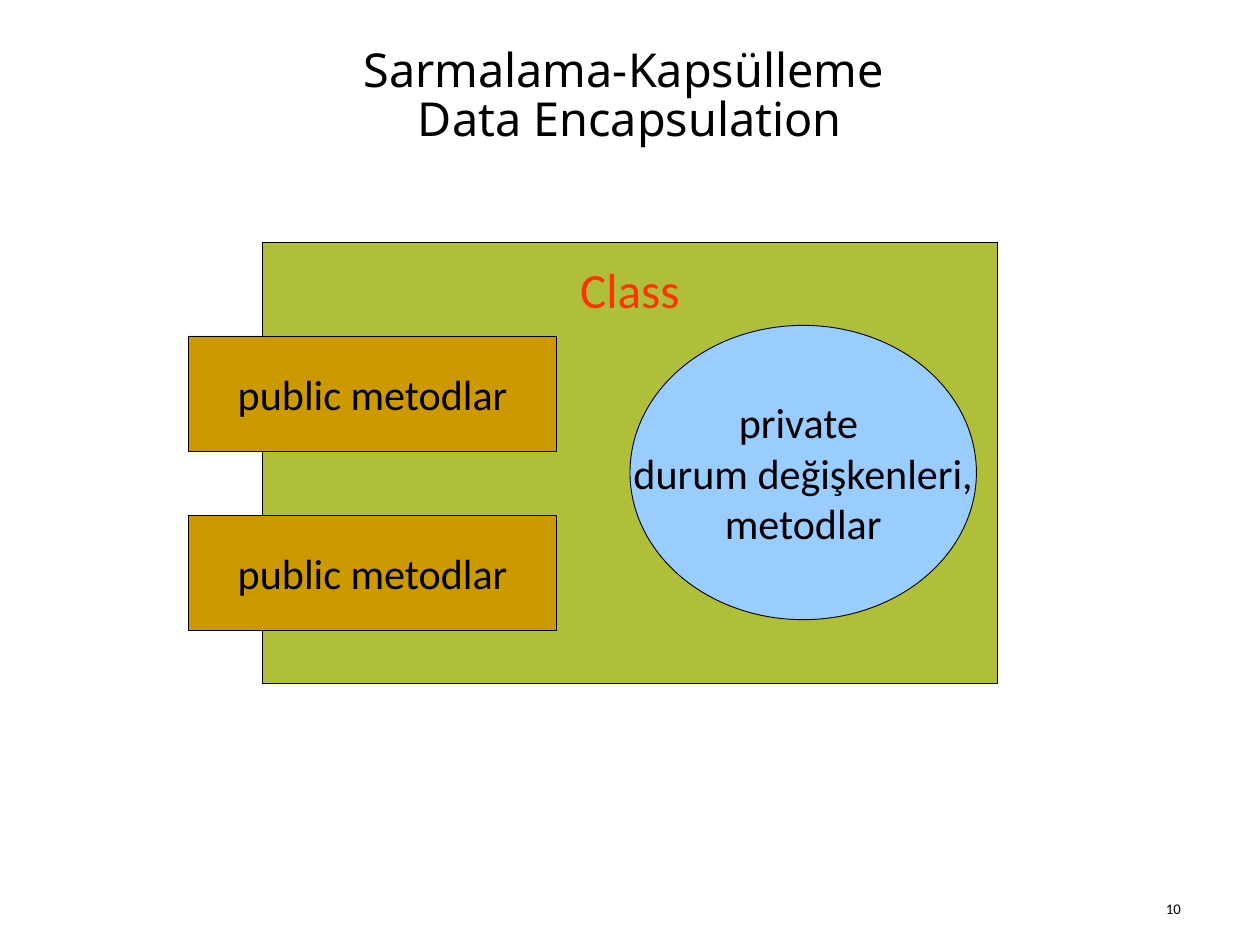
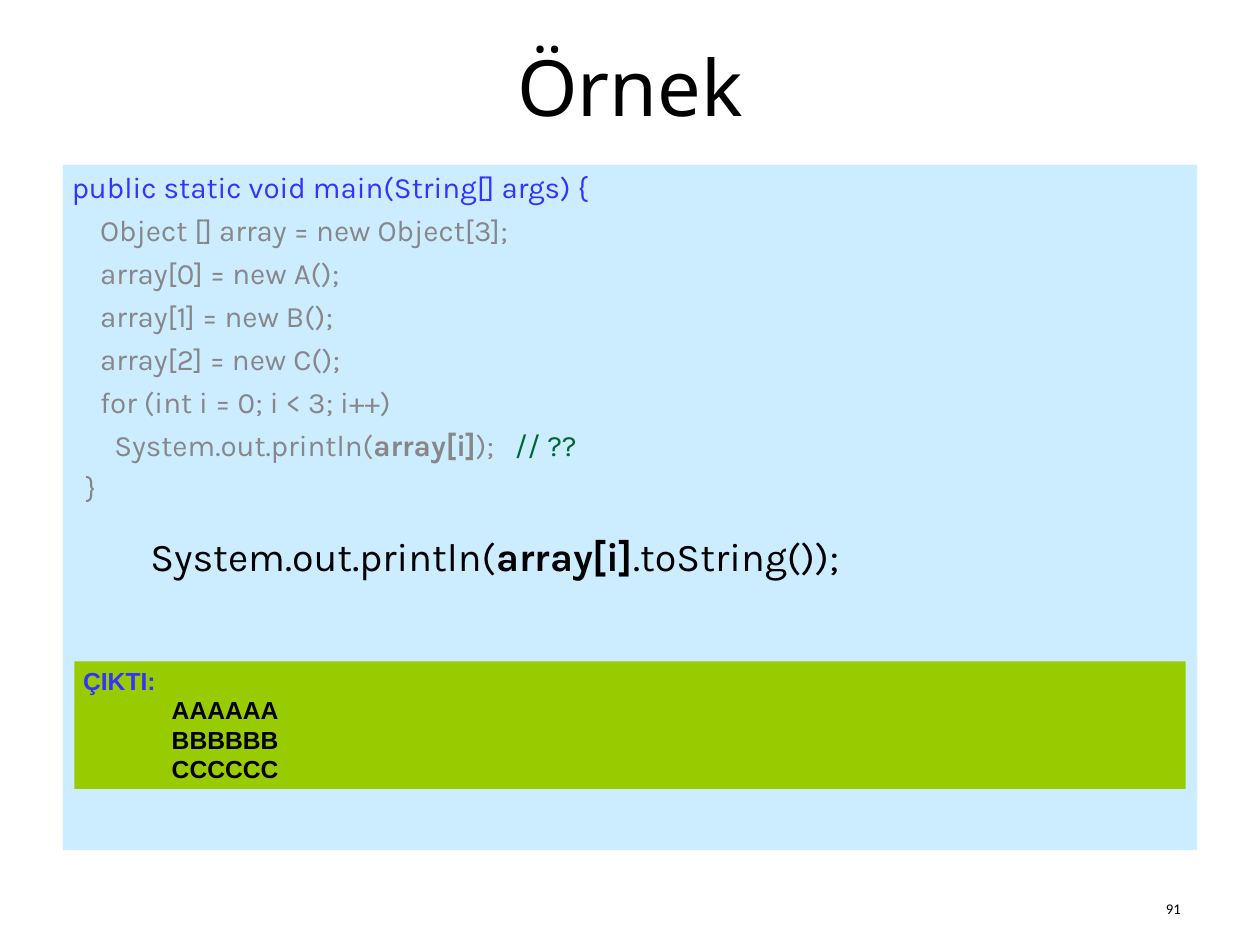
import pptx
import pptx.util
import pptx.dml.color
import pptx.enum.shapes
import pptx.enum.text
import pptx.oxml.ns
from lxml import etree

Inches = pptx.util.Inches
Pt = pptx.util.Pt
RGBColor = pptx.dml.color.RGBColor
Shape = pptx.enum.shapes.MSO_SHAPE
Anchor = pptx.enum.text.MSO_ANCHOR
Align = pptx.enum.text.PP_ALIGN

BLACK = RGBColor(0x00, 0x00, 0x00)
OLIVE = RGBColor(0xAF, 0xBF, 0x39)
SKY = RGBColor(0x99, 0xCC, 0xFF)
OCHRE = RGBColor(0xCC, 0x99, 0x00)
RED = RGBColor(0xFF, 0x33, 0x00)
PALE_BLUE = RGBColor(0xCC, 0xEC, 0xFF)
BLUE = RGBColor(0x33, 0x33, 0xFF)
GRAY = RGBColor(0x87, 0x87, 0x87)
DARK_GREEN = RGBColor(0x00, 0x66, 0x33)
LIME = RGBColor(0x99, 0xCC, 0x00)

TITLE_FONT, LABEL_FONT, CODE_FONT, OUTPUT_FONT = "Noto Sans", "Calibri", "Karla", "Arial"
TITLE_ONLY, TITLE_AND_BODY = 5, 1
INDENT_STEP = 0.16


def place(shape, box):
    shape.left, shape.top, shape.width, shape.height = map(Inches, box)


def style(span, font, size, color, bold=False):
    span.font.name = font
    span.font.size = Pt(size)
    span.font.color.rgb = color
    span.font.bold = bold


def add_block(page, kind, box, fill, outlined=False):
    block = page.shapes.add_shape(kind, *map(Inches, box))
    block.shadow.inherit = False
    block.fill.solid()
    block.fill.fore_color.rgb = fill
    if outlined:
        block.line.color.rgb = BLACK
        block.line.width = Pt(0.75)
    else:
        block.line.fill.background()
    return block


def write_label(shape, text, size, color, anchor=Anchor.MIDDLE):
    frame = shape.text_frame
    frame.text = text
    frame.word_wrap = False
    frame.vertical_anchor = anchor
    for para in frame.paragraphs:
        para.alignment = Align.CENTER
        for span in para.runs:
            style(span, LABEL_FONT, size, color)


def write_lines(frame, lines, font, size, space_before=0):
    """Each line is (indent in inches, [(text, color, bold), ...])."""
    frame.word_wrap = True
    frame.vertical_anchor = Anchor.TOP
    for number, (indent, spans) in enumerate(lines):
        para = frame.paragraphs[0] if number == 0 else frame.add_paragraph()
        para.alignment = Align.LEFT
        para.space_before = Pt(space_before)
        properties = para._p.get_or_add_pPr()
        properties.set("marL", "0")
        properties.set("indent", str(Inches(indent)))
        etree.SubElement(properties, pptx.oxml.ns.qn("a:buNone"))
        for text, color, bold in spans:
            span = para.add_run()
            span.text = text
            style(span, font, size, color, bold)


def set_tab(para, position):
    tabs = etree.SubElement(para._p.get_or_add_pPr(), pptx.oxml.ns.qn("a:tabLst"))
    etree.SubElement(tabs, pptx.oxml.ns.qn("a:tab"), pos=str(Inches(position)), algn="l")


def add_page(deck, layout, title, title_size, title_height, number):
    page = deck.slides.add_slide(deck.slide_layouts[layout])
    place(page.shapes.title, (0.71, 0.43, 12.8, title_height))
    frame = page.shapes.title.text_frame
    frame.text = title
    frame.auto_size = pptx.enum.text.MSO_AUTO_SIZE.NONE
    frame.vertical_anchor = Anchor.TOP
    # Tight line spacing lifts the first line, so the inset grows with the size
    frame.margin_top = Inches(0.05 + title_size * 0.0015)
    para = frame.paragraphs[0]
    para.alignment = Align.CENTER
    para.line_spacing = 0.88
    for span in para.runs:
        style(span, TITLE_FONT, title_size, BLACK)

    footer = page.shapes.add_textbox(*map(Inches, (13.06, 10.04, 0.45, 0.42)))
    footer.text_frame.text = str(number)
    footer.text_frame.word_wrap = True
    footer.text_frame.vertical_anchor = Anchor.MIDDLE
    style(footer.text_frame.paragraphs[0].runs[0], LABEL_FONT, 12, BLACK)
    return page


def add_class_diagram(page, box):
    left, top, width, height = box
    class_box = add_block(page, Shape.RECTANGLE, box, OLIVE, outlined=True)
    write_label(class_box, "Class", 40, RED, Anchor.TOP)
    class_box.text_frame.margin_top = Inches(0.19)

    private_part = add_block(page, Shape.OVAL, (left + width / 2, top + 0.94, 3.91, 3.32),
                             SKY, outlined=True)
    write_label(private_part, "private \ndurum değişkenleri,\nmetodlar", 34.2, BLACK)

    for row in range(2):
        method = add_block(page, Shape.RECTANGLE,
                           (left - 0.83, top + 1.06 + row * 2.02, width / 2, 1.3),
                           OCHRE, outlined=True)
        write_label(method, "public metodlar", 34.2, BLACK)


def add_code_panel(page, box):
    left, top, width, height = box
    panel = page.placeholders[1]
    place(panel, box)
    panel.fill.solid()
    panel.fill.fore_color.rgb = PALE_BLUE
    body = [(2, "Object [] array = new Object[3];"),
            (2, "array[0] = new A();"),
            (2, "array[1] = new B();"),
            (2, "array[2] = new C();"),
            (2, "for (int i = 0; i < 3; i++)")]
    lines = [(0, [("public static void main(String[] args) {", BLUE, False)])]
    lines += [(level * INDENT_STEP, [(text, GRAY, False)]) for level, text in body]
    lines += [(3 * INDENT_STEP, [("System.out.println(", GRAY, False),
                                 ("array[i]", GRAY, True),
                                 ("); \t", GRAY, False),
                                 ("// ??", DARK_GREEN, False)]),
              (INDENT_STEP, [("}", GRAY, False)])]
    frame = panel.text_frame
    frame.auto_size = pptx.enum.text.MSO_AUTO_SIZE.NONE
    write_lines(frame, lines, CODE_FONT, 24, space_before=6)
    set_tab(frame.paragraphs[-2], 5.39)

    call = add_block(page, Shape.RECTANGLE, (left + 0.89, top + 4.09, 11.2, 0.64), PALE_BLUE)
    write_lines(call.text_frame, [(0, [("System.out.println(", BLACK, False),
                                       ("array[i]", BLACK, True),
                                       (".toString());", BLACK, False)])],
                CODE_FONT, 32, space_before=6)

    output = add_block(page, Shape.RECTANGLE,
                       (left + 0.13, top + 5.6, width - 0.26, 1.44), LIME)
    results = [(1, [(letter * 6, BLACK, True)]) for letter in "ABC"]
    write_lines(output.text_frame, [(0, [("ÇIKTI:", BLUE, True)])] + results, OUTPUT_FONT, 20)


def main():
    deck = pptx.Presentation()
    deck.slide_width, deck.slide_height = Inches(14.22), Inches(10.66)

    page = add_page(deck, TITLE_ONLY, "Sarmalama-Kapsülleme \vData Encapsulation", 38, 1.95, 10)
    add_class_diagram(page, (2.96, 2.73, 8.3, 4.98))

    page = add_page(deck, TITLE_AND_BODY, "Örnek", 63, 1.64, 91)
    add_code_panel(page, (0.71, 1.86, 12.8, 7.73))

    deck.save("out.pptx")


if __name__ == "__main__":
    main()
